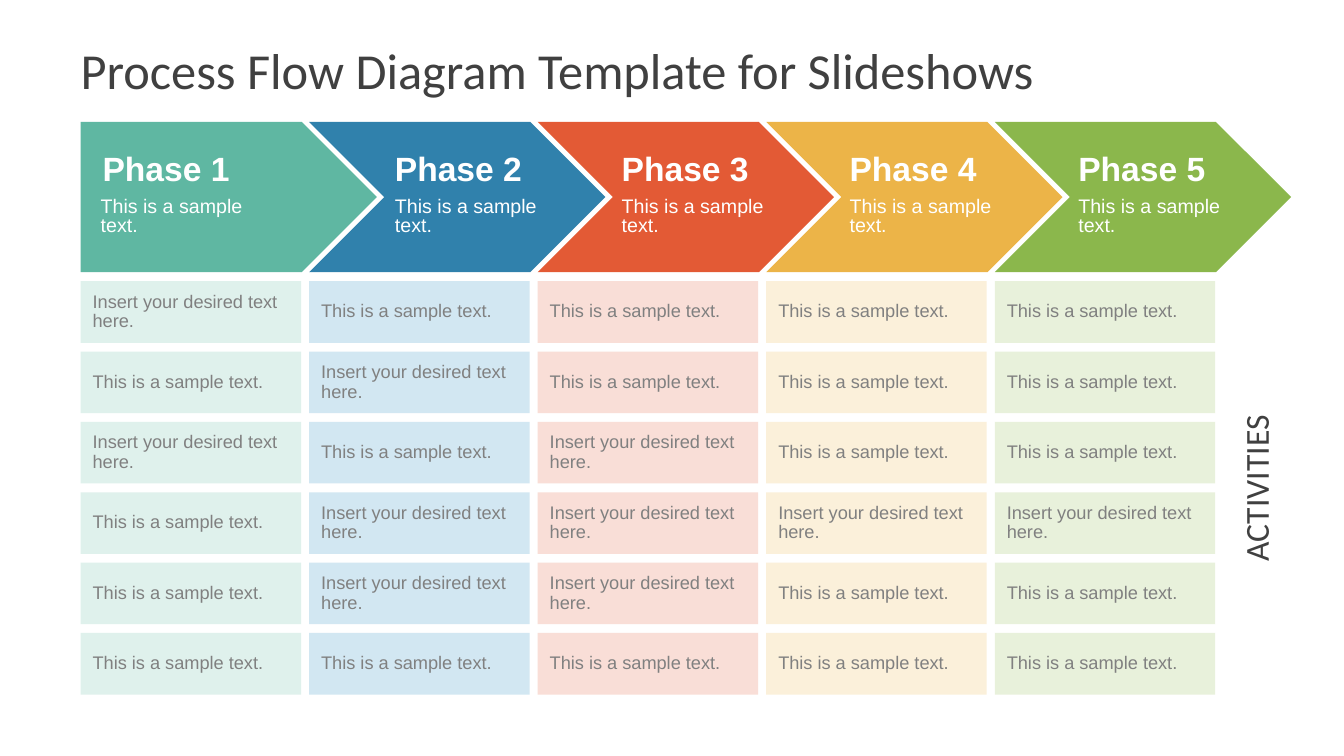
from pptx import Presentation
from pptx.dml.color import RGBColor
from pptx.enum.shapes import MSO_SHAPE
from pptx.enum.text import MSO_ANCHOR, MSO_AUTO_SIZE, PP_ALIGN
from pptx.util import Pt

COLORS = {"dark": "404040", "gray": "808080", "white": "FFFFFF"}
SAMPLE = "This is a sample text."
INSERT = "Insert your desired text here."
LEFT, STEP, ROW = 57.6, 163.25, 50.25
PHASES = [
    ("5FB7A2", "DFF1EC", 66.2, 131.8, (0, 2)),
    ("3081AC", "D2E7F2", 275, 137.5, (1, 3, 4)),
    ("E35A35", "F9DED7", 437, 135.4, (2, 3, 4)),
    ("ECB448", "FBF0DA", 599.8, 136.8, (3,)),
    ("8BB74C", "E8F1DB", 763.2, 136.8, (3,)),
]


class Deck:
    def __init__(self, slide):
        self.slide = slide
        self.body = "Arial"
        self.head = "Calibri"

    def style(self, frame, text, size, color, font, bold=False, space=1.0,
              align=PP_ALIGN.LEFT):
        frame.text = text
        para = frame.paragraphs[0]
        para.alignment = align
        para.line_spacing = space
        for run in para.runs:
            run.font.name = font
            run.font.size = Pt(size)
            run.font.bold = bold
            run.font.color.rgb = RGBColor.from_string(COLORS[color])

    def title(self, text):
        box = self.slide.shapes.title
        box.left, box.top, box.width, box.height = Pt(48), Pt(21.6), Pt(864), Pt(56.2)
        frame = box.text_frame
        frame.auto_size = MSO_AUTO_SIZE.NONE
        frame.vertical_anchor = MSO_ANCHOR.MIDDLE
        frame.margin_left = frame.margin_right = Pt(9.6)
        frame.margin_top = frame.margin_bottom = Pt(4.8)
        self.style(frame, text, 36, "dark", self.head)

    def block(self, kind, x, y, w, h, fill):
        shape = self.slide.shapes.add_shape(kind, Pt(x), Pt(y), Pt(w), Pt(h))
        shape.shadow.inherit = False
        shape.fill.solid()
        shape.fill.fore_color.rgb = RGBColor.from_string(fill)
        shape.line.fill.background()
        return shape

    def cell(self, x, y, fill, text):
        frame = self.block(MSO_SHAPE.RECTANGLE, x, y, 157.5, 44, fill).text_frame
        frame.word_wrap = True
        frame.vertical_anchor = MSO_ANCHOR.MIDDLE
        frame.margin_left = frame.margin_right = Pt(8.6)
        frame.margin_top = frame.margin_bottom = Pt(3.6)
        self.style(frame, text, 13, "gray", self.body, space=0.9)

    def label(self, x, y, w, h, text, size, color, font, anchor=MSO_ANCHOR.TOP,
              wrap=True, turn=0, **extra):
        box = self.slide.shapes.add_textbox(Pt(x), Pt(y), Pt(w), Pt(h))
        box.rotation = turn
        frame = box.text_frame
        frame.word_wrap = wrap
        frame.auto_size = MSO_AUTO_SIZE.SHAPE_TO_FIT_TEXT
        frame.vertical_anchor = anchor
        self.style(frame, text, size, color, font, **extra)


def main():
    prs = Presentation()
    prs.slide_width, prs.slide_height = Pt(960), Pt(540)
    deck = Deck(prs.slides.add_slide(prs.slide_layouts[5]))
    deck.title("Process Flow Diagram Template for Slideshows")
    for col, (fill, tint, x, w, longs) in enumerate(PHASES):
        left = LEFT + col * STEP
        kind = MSO_SHAPE.CHEVRON if col else MSO_SHAPE.PENTAGON
        deck.block(kind, left, 87.1, 211.6, 107.3, fill)
        for row in range(6):
            text = INSERT if row in longs else SAMPLE
            deck.cell(left, 200.9 + row * ROW, tint, text)
        deck.label(x, 102.2, w, 36, f"Phase {col + 1}", 24, "white", deck.body,
                   anchor=MSO_ANCHOR.BOTTOM, bold=True)
        shift = 0 if col else 1.4
        deck.label(x - shift, 138.2, w + shift, 34.6, SAMPLE, 14, "white",
                   deck.body, space=0.8)
    deck.label(833.8, 334.1, 119.5, 29.5, "ACTIVITIES", 24, "dark", deck.head,
               wrap=False, turn=270, align=PP_ALIGN.CENTER)
    prs.save("out.pptx")


if __name__ == "__main__":
    main()
